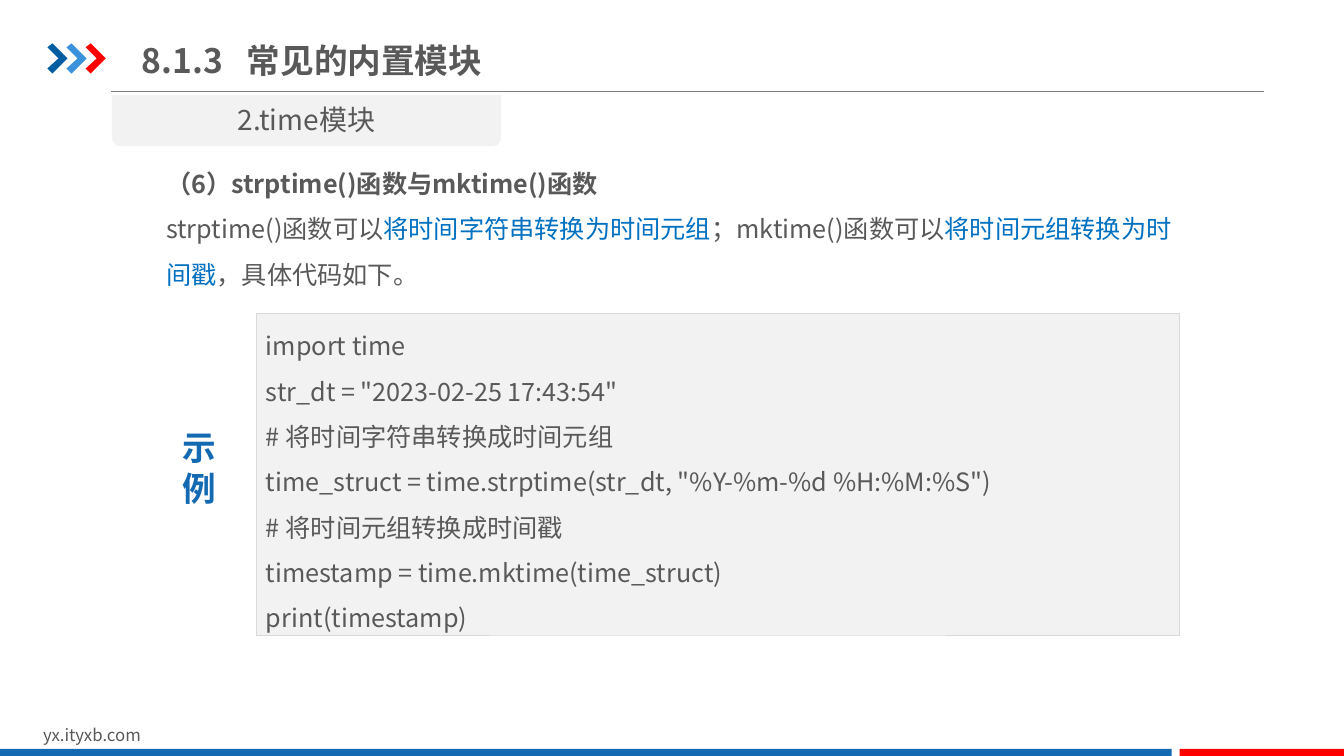
import pptx
import pptx.dml.color
import pptx.enum.shapes
import pptx.enum.text
import pptx.oxml
import pptx.oxml.ns
import pptx.util

RGB = pptx.dml.color.RGBColor
SHAPE = pptx.enum.shapes.MSO_SHAPE
ALIGN = pptx.enum.text.PP_ALIGN
ANCHOR = pptx.enum.text.MSO_ANCHOR
qn = pptx.oxml.ns.qn

PX = 9144  # 100 px to the inch
FONT = "Noto Sans CJK SC"
GREY = RGB(0x59, 0x59, 0x59)
RULE = RGB(0x80, 0x80, 0x80)
PANEL = RGB(0xF2, 0xF2, 0xF2)
PANEL_EDGE = RGB(0xD9, 0xD9, 0xD9)
NAVY = RGB(0x00, 0x5D, 0xA2)
SKY = RGB(0x39, 0x92, 0xDB)
RED = RGB(0xFF, 0x00, 0x00)
BLUE = RGB(0x13, 0x69, 0xB2)
KEY_BLUE = RGB(0x00, 0x70, 0xC0)

CODE = """import time
str_dt = "2023-02-25 17:43:54"
# 将时间字符串转换成时间元组
time_struct = time.strptime(str_dt, "%Y-%m-%d %H:%M:%S")
# 将时间元组转换成时间戳
timestamp = time.mktime(time_struct)
print(timestamp)"""


def emu(*lengths):
    return [pptx.util.Emu(n * PX) for n in lengths]


def add_run(p, text, size=18, color=GREY, bold=False):
    r = p.add_run()
    r.text = text
    r.font.size = pptx.util.Pt(size)
    r.font.name = FONT
    r.font.bold = bold
    r.font.color.rgb = color
    ea = pptx.oxml.parse_xml(
        f'<a:ea {pptx.oxml.ns.nsdecls("a")} typeface="{FONT}"/>')
    r.font._element.find(qn("a:latin")).addnext(ea)


def write(sp, paragraphs, align=ALIGN.LEFT, anchor=ANCHOR.TOP, spacing=None,
          wrap=True, **font):
    """Fill a shape; a paragraph is a string or a list of (text, format)."""
    tf = sp.text_frame
    tf.word_wrap = wrap
    tf.vertical_anchor = anchor
    for i, runs in enumerate(paragraphs):
        p = tf.add_paragraph() if i else tf.paragraphs[0]
        p.alignment = align
        if spacing:
            p.line_spacing = spacing
        if isinstance(runs, str):
            runs = [(runs, {})]
        for text, extra in runs:
            add_run(p, text, **{**font, **extra})


def add_text(slide, box, paragraphs, **fmt):
    sp = slide.shapes.add_textbox(*emu(*box))
    write(sp, paragraphs, **fmt)
    return sp


def paint(sp, fill, edge=None):
    sp.shadow.inherit = False
    sp.fill.solid()
    sp.fill.fore_color.rgb = fill
    if edge is None:
        sp.line.fill.background()
    else:
        sp.line.color.rgb = edge
        sp.line.width = pptx.util.Pt(0.25)


def add_block(slide, kind, box, fill, edge=None):
    sp = slide.shapes.add_shape(kind, *emu(*box))
    paint(sp, fill, edge)
    return sp


def header(slide, x, y, w, h):
    # Rule under the title
    line = slide.shapes.add_connector(
        pptx.enum.shapes.MSO_CONNECTOR.STRAIGHT,
        *emu(x + 63, y + h, x + w, y + h))
    line.line.color.rgb = RULE
    line.line.width = pptx.util.Pt(0.75)
    line._element.spPr.append(pptx.oxml.parse_xml(
        f'<a:effectLst {pptx.oxml.ns.nsdecls("a")}/>'))

    # Three chevrons
    chevron = [(0, 4), (5, 0), (20, 15), (5, 30), (0, 25), (11, 15)]
    for i, color in enumerate((NAVY, SKY, RED)):
        points = [(x + 19 * i + dx, y + 14 + dy) for dx, dy in chevron]
        outline = slide.shapes.build_freeform(*points[0], scale=PX)
        outline.add_line_segments(points[1:], close=True)
        paint(outline.convert_to_shape(), color)

    # Title, with a tab between number and name
    sp = add_text(slide, (x + 84, y, 541, 61), ["8.1.3\t常见的内置模块"],
                  anchor=ANCHOR.MIDDLE, size=24, bold=True)
    pPr = sp.text_frame.paragraphs[0]._p.get_or_add_pPr()
    pPr.append(pptx.oxml.parse_xml(
        f'<a:tabLst {pptx.oxml.ns.nsdecls("a")}>'
        f'<a:tab pos="{104 * PX}" algn="l"/></a:tabLst>'))


def section_tab(slide, x, y, w, h):
    sp = add_block(slide, SHAPE.ROUND_2_SAME_RECTANGLE, (x, y, w, h), PANEL)
    sp.rotation = 180
    add_text(slide, (x, y + 3, w, 44), ["2.time模块"],
             align=ALIGN.CENTER, size=20)


def explanation(slide, *box):
    key = {"color": KEY_BLUE}
    add_text(slide, box, [
        [("（6）strptime()函数与mktime()函数", {"bold": True})],
        [("strptime()函数可以", {}),
         ("将时间字符串转换为时间元组", key),
         ("；mktime()函数可以", {}),
         ("将时间元组转换为时间戳", key),
         ("，具体代码如下。", {})],
    ], spacing=1.5)


def example(slide, x, y, w, h):
    # Code panel, then its label at the left
    panel = add_block(slide, SHAPE.RECTANGLE, (x + 83, y, w - 83, h),
                      PANEL, PANEL_EDGE)
    write(panel, CODE.split("\n"), anchor=ANCHOR.MIDDLE, spacing=1.5)
    add_text(slide, (x, y + 108, 54, 91), ["示", "例"], align=ALIGN.CENTER,
             wrap=False, size=24, bold=True, color=BLUE)


def footer(slide, x, y, w, h):
    add_text(slide, (x + 33, y, 318, 30), ["yx.ityxb.com"], size=12)
    bar_y, bar_h, red_w, gap = y + 29, h - 29, 163, 8
    add_block(slide, SHAPE.RECTANGLE, (x, bar_y, w - red_w - gap, bar_h), BLUE)
    add_block(slide, SHAPE.RECTANGLE, (x + w - red_w, bar_y, red_w, bar_h), RED)


def main():
    prs = pptx.Presentation()
    prs.slide_width, prs.slide_height = emu(1333, 750)
    slide = prs.slides.add_slide(prs.slide_layouts[6])
    header(slide, 47, 29, 1207, 62)
    footer(slide, 0, 714, 1333, 36)
    section_tab(slide, 111, 94, 386, 51)
    explanation(slide, 155, 147, 1032, 146)
    example(slide, 171, 311, 999, 319)
    prs.save("out.pptx")


if __name__ == "__main__":
    main()
